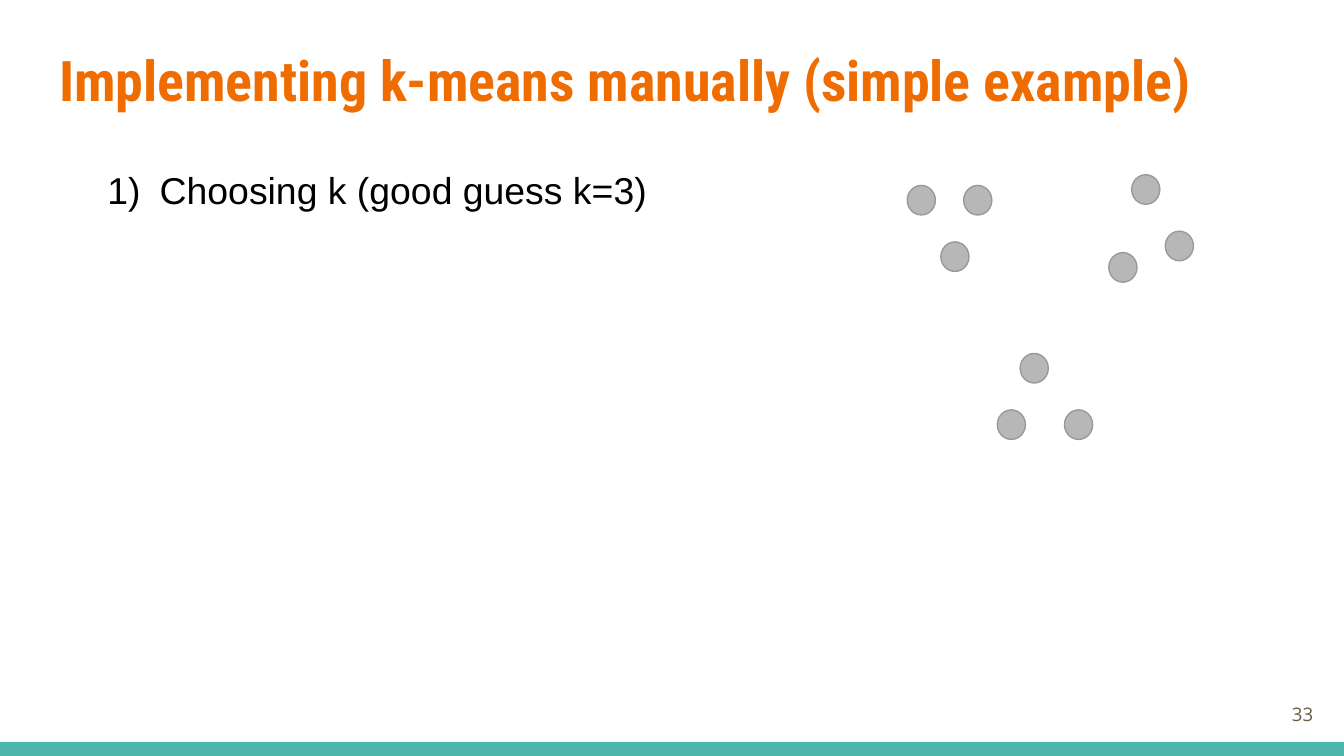
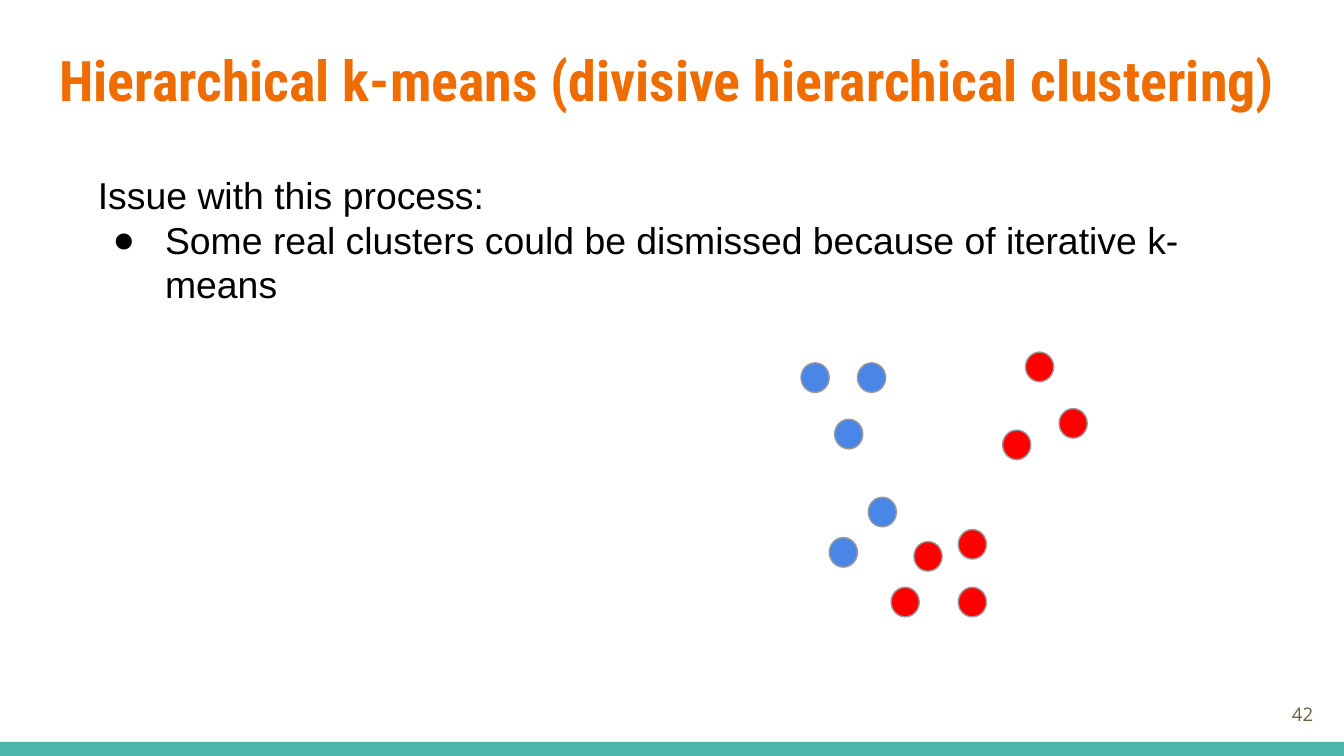
from dataclasses import dataclass

from lxml import etree
from pptx import Presentation
from pptx.dml.color import RGBColor
from pptx.enum import shapes, text
from pptx.oxml import ns
from pptx.slide import Slide
from pptx.text.text import TextFrame
from pptx.util import Inches, Pt

ORANGE = RGBColor(0xEF, 0x6C, 0x00)
TEAL = RGBColor(0x4D, 0xB6, 0xAC)
BROWN = RGBColor(0x69, 0x5D, 0x46)
BLACK = RGBColor(0x00, 0x00, 0x00)
GREY = RGBColor(0xB7, 0xB7, 0xB7)
OUTLINE = RGBColor(0x99, 0x99, 0x99)
BLUE = RGBColor(0x4A, 0x86, 0xE8)
RED = RGBColor(0xFF, 0x00, 0x00)

SLIDE_WIDTH = Inches(10)
SLIDE_HEIGHT = SLIDE_WIDTH * 9 // 16
TITLE_ONLY = 5
NUMBERED = ("buAutoNum", {"type": "arabicParenR"})
BULLETED = ("buChar", {"char": "●"})

Point = tuple[float, float]
Marker = tuple[str, dict[str, str]]

# Positions are relative to the corner of the scatter.
LEFT_CLUSTER: list[Point] = [(0, 0.08), (0.42, 0.08), (0.25, 0.5)]
RIGHT_CLUSTER: list[Point] = [(1.5, 0.58), (1.67, 0), (1.92, 0.42)]
BOTTOM_CLUSTER: list[Point] = [(0.84, 1.33), (1.17, 1.75), (0.67, 1.75)]
SPLIT_BLUE: list[Point] = [(0.5, 1.08), (0.21, 1.38)]
SPLIT_RED: list[Point] = [(1.17, 1.75), (0.67, 1.75), (1.17, 1.32), (0.84, 1.41)]


@dataclass(frozen=True)
class Box:
    left: float
    top: float
    width: float
    height: float

    def emu(self) -> tuple[Inches, Inches, Inches, Inches]:
        return (Inches(self.left), Inches(self.top),
                Inches(self.width), Inches(self.height))


@dataclass(frozen=True)
class Line:
    wording: str
    marker: Marker | None = None


@dataclass(frozen=True)
class Cluster:
    color: RGBColor
    points: list[Point]


@dataclass(frozen=True)
class Page:
    title: str
    number: int
    body_box: Box
    body: list[Line]
    scatter_corner: Point
    clusters: list[Cluster]


PAGES = [
    Page("Implementing k-means manually (simple example)", 33,
         Box(0.59, 1.14, 4.36, 0.58),
         [Line("Choosing k (good guess k=3)", NUMBERED)],
         (6.75, 1.3),
         [Cluster(GREY, LEFT_CLUSTER + BOTTOM_CLUSTER + RIGHT_CLUSTER)]),
    Page("Hierarchical k-means (divisive hierarchical clustering)", 42,
         Box(0.63, 1.18, 8.54, 1.27),
         [Line("Issue with this process:"),
          Line("Some real clusters could be dismissed because of iterative k-means",
               BULLETED)],
         (5.96, 2.62),
         [Cluster(BLUE, LEFT_CLUSTER + SPLIT_BLUE),
          Cluster(RED, RIGHT_CLUSTER + SPLIT_RED)]),
]


def set_marker(paragraph, marker: Marker) -> None:
    """Give the paragraph a hanging indent and a black bullet or number."""
    tag, attributes = marker
    properties = paragraph._p.get_or_add_pPr()
    properties.set("marL", str(Inches(0.5)))
    properties.set("indent", str(Inches(-0.39)))
    color = etree.SubElement(properties, ns.qn("a:buClr"))
    etree.SubElement(color, ns.qn("a:srgbClr"), val=str(BLACK))
    etree.SubElement(properties, ns.qn("a:buFont"), typeface="Arial")
    etree.SubElement(properties, ns.qn(f"a:{tag}"), attributes)


def write(frame: TextFrame, lines: list[Line], *, font: str, size: float,
          color: RGBColor, bold: bool = False,
          align: text.PP_ALIGN = text.PP_ALIGN.LEFT,
          anchor: text.MSO_ANCHOR = text.MSO_ANCHOR.TOP) -> None:
    frame.word_wrap = True
    frame.auto_size = text.MSO_AUTO_SIZE.NONE
    frame.vertical_anchor = anchor
    frame.margin_left = frame.margin_right = Inches(0.1)
    frame.margin_top = frame.margin_bottom = Inches(0.1)
    for index, line in enumerate(lines):
        paragraph = frame.add_paragraph() if index else frame.paragraphs[0]
        paragraph.alignment = align
        paragraph.line_spacing = 1.0
        paragraph.space_before = paragraph.space_after = Pt(0)
        if line.marker:
            set_marker(paragraph, line.marker)
        run = paragraph.add_run()
        run.text = line.wording
        run.font.name = font
        run.font.size = Pt(size)
        run.font.bold = bold
        run.font.color.rgb = color


def add_filled(slide: Slide, kind: shapes.MSO_SHAPE, box: Box, fill: RGBColor,
               outline: RGBColor | None = None) -> None:
    shape = slide.shapes.add_shape(kind, *box.emu())
    shape.shadow.inherit = False
    shape.fill.solid()
    shape.fill.fore_color.rgb = fill
    if outline is None:
        shape.line.fill.background()
    else:
        shape.line.color.rgb = outline
        shape.line.width = Pt(0.75)


def add_frame(slide: Slide, page: Page) -> None:
    """Add the bottom band, title and page number that every slide has."""
    add_filled(slide, shapes.MSO_SHAPE.RECTANGLE, Box(0, 5.52, 10, 0.11), TEAL)
    title = slide.shapes.title
    title.left, title.top, title.width, title.height = Box(0.34, 0.24, 9.32, 0.77).emu()
    write(title.text_frame, [Line(page.title)], font="Roboto Condensed",
          size=30, color=ORANGE, bold=True)
    number = slide.shapes.add_textbox(*Box(9.27, 5.1, 0.6, 0.43).emu())
    write(number.text_frame, [Line(str(page.number))], font="Open Sans", size=10,
          color=BROWN, align=text.PP_ALIGN.RIGHT, anchor=text.MSO_ANCHOR.MIDDLE)


def add_scatter(slide: Slide, page: Page) -> None:
    left, top = page.scatter_corner
    for cluster in page.clusters:
        for x, y in cluster.points:
            add_filled(slide, shapes.MSO_SHAPE.OVAL,
                       Box(left + x, top + y, 0.21, 0.22), cluster.color, OUTLINE)


def main() -> None:
    deck = Presentation()
    deck.slide_width, deck.slide_height = SLIDE_WIDTH, SLIDE_HEIGHT
    for page in PAGES:
        slide = deck.slides.add_slide(deck.slide_layouts[TITLE_ONLY])
        add_frame(slide, page)
        body = slide.shapes.add_textbox(*page.body_box.emu())
        write(body.text_frame, page.body, font="Arial", size=20, color=BLACK)
        add_scatter(slide, page)
    deck.save("out.pptx")


if __name__ == "__main__":
    main()
